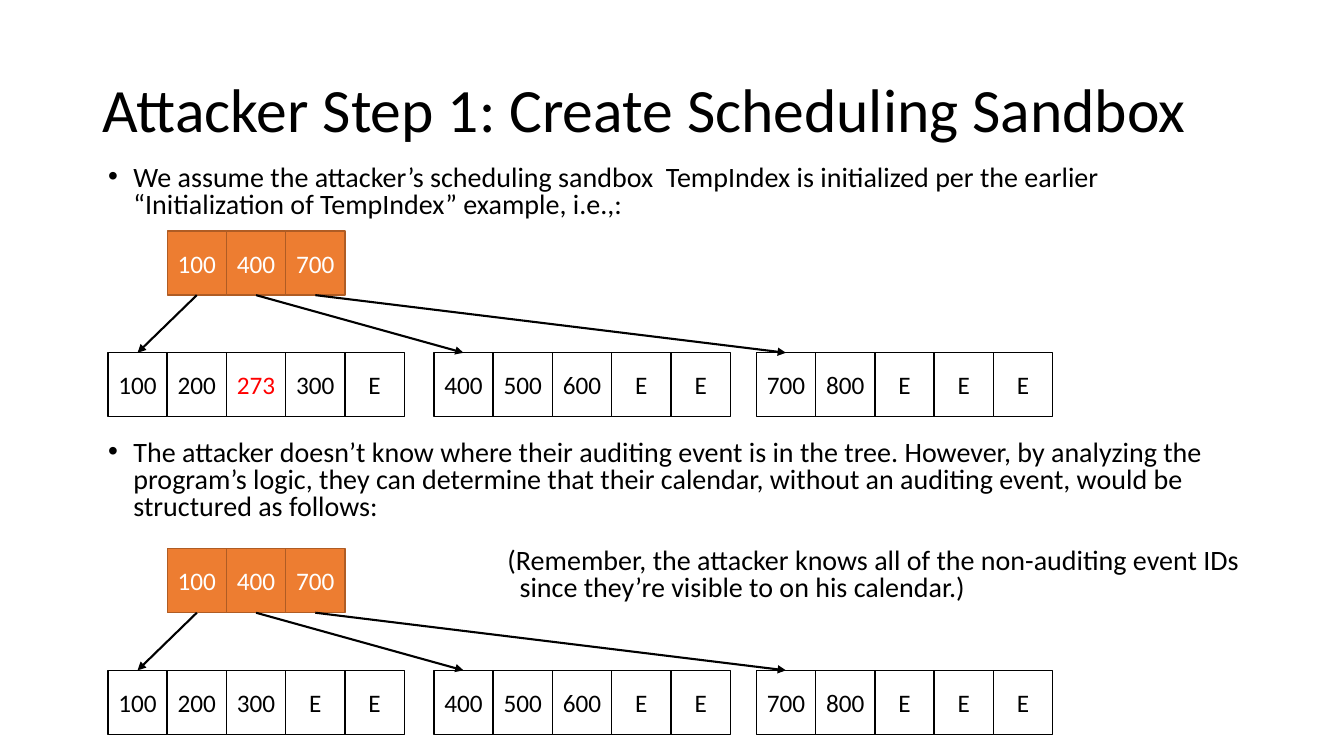
from dataclasses import dataclass

from lxml import etree
from pptx import Presentation
from pptx import util as u
from pptx.dml.color import RGBColor
from pptx.enum import shapes, text
from pptx.oxml.ns import qn

BLACK = RGBColor(0x00, 0x00, 0x00)
WHITE = RGBColor(0xFF, 0xFF, 0xFF)
RED = RGBColor(0xFF, 0x00, 0x00)
ORANGE = RGBColor(0xED, 0x7D, 0x31)
RUST = RGBColor(0xAF, 0x5C, 0x24)

WIDE = u.Inches(13.33)
HIGH = u.Inches(7.5)
COL = WIDE * 4.41 / 100
ROW = HIGH * 8.47 / 100
LEFT = WIDE * 8.03 / 100
TOP = HIGH * 30.57 / 100
STARTS = (0, 5.5, 10.94)
DROP = 1.9


@dataclass(frozen=True)
class Tone:
    fill: RGBColor
    line: RGBColor
    ink: RGBColor


@dataclass(frozen=True)
class Tree:
    row: float
    root: str
    leaves: tuple[str, ...]


@dataclass(frozen=True)
class Para:
    words: str
    gap: float
    margin: float
    hang: float
    mark: str = ""


ROOT = Tone(ORANGE, RUST, WHITE)
LEAF = Tone(WHITE, BLACK, BLACK)
AUDIT = Tone(WHITE, BLACK, RED)

TREES = (
    Tree(0, "100 400 700", ("100 200 273 300 E", "400 500 600 E E", "700 800 E E E")),
    Tree(4.96, "100 400 700", ("100 200 300 E E", "400 500 600 E E", "700 800 E E E")),
)

PARAS = (
    Para("We assume the attacker’s scheduling sandbox  TempIndex is initialized per the "
         "earlier “Initialization of TempIndex” example, i.e.,:", 10, 0.25, -0.25, "•"),
    Para("The attacker doesn’t know where their auditing event is in the tree. However, "
         "by analyzing the program’s logic, they can determine that their calendar, "
         "without an auditing event, would be structured as follows:",
         158, 0.25, -0.25, "•"),
    Para("(Remember, the attacker knows all of the non-auditing event IDs\v"
         "since they’re visible to on his calendar.)", 19.5, 4.08, -0.12),
)


def style(item, **values) -> None:
    for name, value in values.items():
        setattr(item, name, value)


def place(item, left: float, top: float, width: float, height: float) -> None:
    style(item, left=int(WIDE * left / 100), top=int(HIGH * top / 100),
          width=int(WIDE * width / 100), height=int(HIGH * height / 100))


def ink(font, size: float, color: RGBColor) -> None:
    style(font, name="Calibri", size=u.Pt(size))
    font.color.rgb = color


def head(box, words: str) -> None:
    place(box, 6.9, 5.3, 86.3, 19.3)
    frame = box.text_frame
    style(frame, text=words, vertical_anchor=text.MSO_ANCHOR.MIDDLE,
          auto_size=text.MSO_AUTO_SIZE.NONE)
    para = frame.paragraphs[0]
    style(para, alignment=text.PP_ALIGN.LEFT, line_spacing=0.9)
    ink(para.font, 44, BLACK)


def body(box, paras: tuple[Para, ...]) -> None:
    place(box, 7.3, 21.3, 86.3, 63.5)
    frame = box.text_frame
    style(frame, text="\n".join(item.words for item in paras),
          auto_size=text.MSO_AUTO_SIZE.NONE)
    for para, item in zip(frame.paragraphs, paras):
        style(para, line_spacing=0.8, space_before=u.Pt(item.gap))
        ink(para.font, 20, BLACK)
        props = para._p.get_or_add_pPr()
        props.set("marL", str(u.Inches(item.margin)))
        props.set("indent", str(u.Inches(item.hang)))
        tag = etree.Element(qn("a:buChar" if item.mark else "a:buNone"))
        if item.mark:
            tag.set("char", item.mark)
        props.find(qn("a:defRPr")).addprevious(tag)


def cell(slide, col: float, row: float, label: str, tone: Tone):
    box = slide.shapes.add_shape(
        shapes.MSO_SHAPE.RECTANGLE, int(LEFT + col * COL), int(TOP + row * ROW),
        int(COL), int(ROW))
    box.shadow.inherit = False
    box.fill.solid()
    box.fill.fore_color.rgb = tone.fill
    box.line.color.rgb = tone.line
    box.line.width = u.Pt(1)
    frame = box.text_frame
    style(frame, text=label, margin_left=0, margin_right=0,
          vertical_anchor=text.MSO_ANCHOR.MIDDLE)
    para = frame.paragraphs[0]
    para.alignment = text.PP_ALIGN.CENTER
    ink(para.font, 18, tone.ink)
    return box


def strip(slide, col: float, row: float, labels: str, tone: Tone) -> list:
    return [cell(slide, col + step, row, label, AUDIT if label == "273" else tone)
            for step, label in enumerate(labels.split())]


def arrow(slide, start, end) -> None:
    link = slide.shapes.add_connector(shapes.MSO_CONNECTOR.STRAIGHT, 0, 0, 0, 0)
    link.begin_connect(start, 2)
    link.end_connect(end, 0)
    link.line.color.rgb = BLACK
    link.line.width = u.Pt(1.5)
    etree.SubElement(link.line._get_or_add_ln(), qn("a:tailEnd"), type="triangle")
    etree.SubElement(link._element.spPr, qn("a:effectLst"))


def draw(slide, tree: Tree) -> None:
    keys = strip(slide, 1, tree.row, tree.root, ROOT)
    for key, start, labels in zip(keys, STARTS, tree.leaves):
        leaf = strip(slide, start, tree.row + DROP, labels, LEAF)
        arrow(slide, key, leaf[0])


def main() -> None:
    deck = Presentation()
    style(deck, slide_width=WIDE, slide_height=HIGH)
    slide = deck.slides.add_slide(deck.slide_layouts[1])
    head(slide.shapes.title, "Attacker Step 1: Create Scheduling Sandbox")
    body(slide.placeholders[1], PARAS)
    for tree in TREES:
        draw(slide, tree)
    deck.save("out.pptx")


if __name__ == "__main__":
    main()
